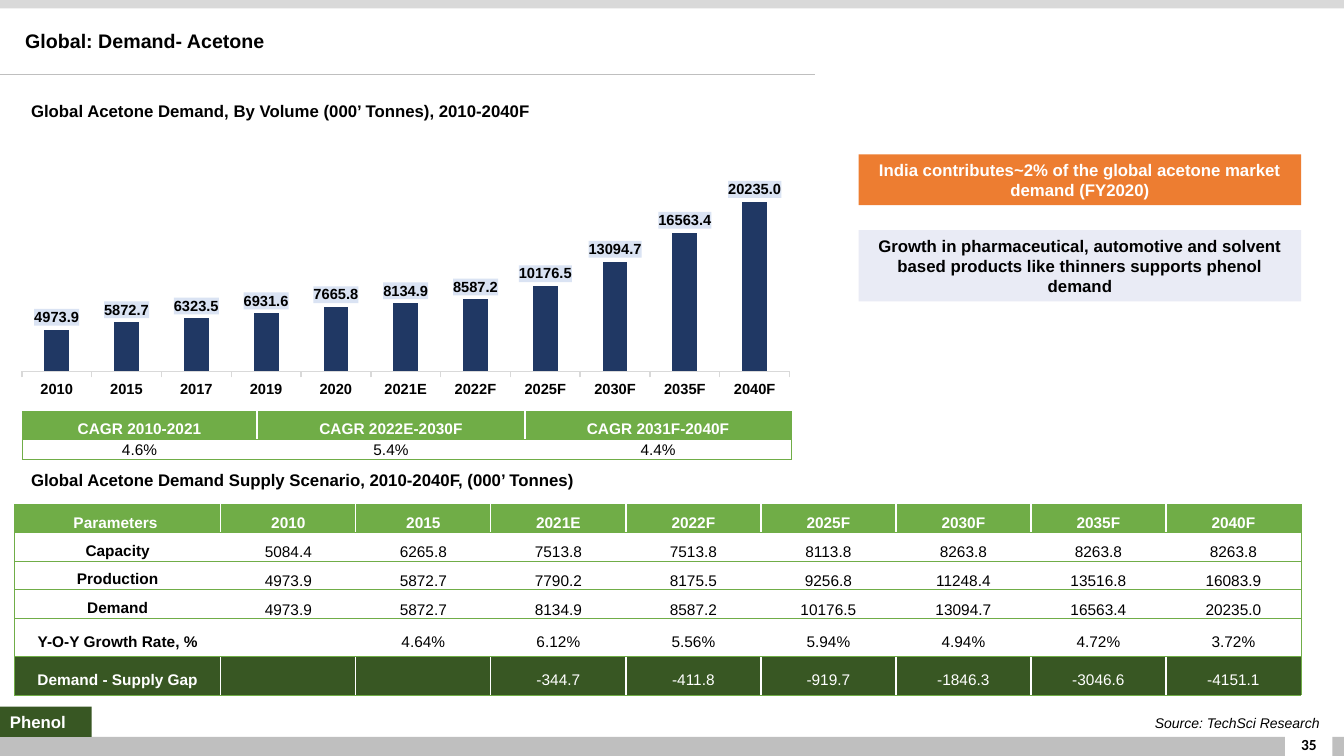
from lxml import etree
from pptx import Presentation
from pptx.chart.data import CategoryChartData
from pptx.dml.color import RGBColor
from pptx.enum.chart import XL_CHART_TYPE as ChartType, XL_LABEL_POSITION as LabelPosition
from pptx.enum.chart import XL_TICK_MARK as TickMark
from pptx.enum.shapes import MSO_CONNECTOR as Connector, MSO_SHAPE as Shape
from pptx.enum.text import MSO_ANCHOR as Anchor, MSO_AUTO_SIZE as AutoSize, PP_ALIGN as Align
from pptx.oxml import parse_xml
from pptx.oxml.ns import nsdecls, qn
from pptx.util import Pt

BLACK = RGBColor(0x00, 0x00, 0x00)
WHITE = RGBColor(0xFF, 0xFF, 0xFF)
SILVER = RGBColor(0xBF, 0xBF, 0xBF)
PALE_GREY = RGBColor(0xD9, 0xD9, 0xD9)
GREEN = RGBColor(0x70, 0xAD, 0x47)
DARK_GREEN = RGBColor(0x38, 0x57, 0x23)
NAVY = RGBColor(0x20, 0x38, 0x64)
ORANGE = RGBColor(0xED, 0x7D, 0x31)
ICE = RGBColor(0xE9, 0xEB, 0xF5)
LABEL_BLUE = RGBColor(0xDA, 0xE3, 0xF3)

DEMAND = {
    "2010": 4973.9, "2015": 5872.7, "2017": 6323.5, "2019": 6931.6,
    "2020": 7665.8, "2021E": 8134.9, "2022F": 8587.2, "2025F": 10176.5,
    "2030F": 13094.7, "2035F": 16563.4, "2040F": 20235.0,
}
CAGR = [
    ["CAGR 2010-2021", "CAGR 2022E-2030F", "CAGR 2031F-2040F"],
    ["4.6%", "5.4%", "4.4%"],
]
SUPPLY = [
    ["Parameters\u00a0", "2010", "2015", "2021E", "2022F", "2025F", "2030F", "2035F", "2040F"],
    ["Capacity", "5084.4", "6265.8", "7513.8", "7513.8", "8113.8", "8263.8", "8263.8", "8263.8"],
    ["Production", "4973.9", "5872.7", "7790.2", "8175.5", "9256.8", "11248.4", "13516.8", "16083.9"],
    ["Demand", "4973.9", "5872.7", "8134.9", "8587.2", "10176.5", "13094.7", "16563.4", "20235.0"],
    ["Y-O-Y Growth Rate, %", "", "4.64%", "6.12%", "5.56%", "5.94%", "4.94%", "4.72%", "3.72%"],
    ["Demand - Supply Gap", "", "", "-344.7", "-411.8", "-919.7", "-1846.3", "-3046.6", "-4151.1"],
]


def write(frame, text, size=12, color=BLACK, bold=False, italic=False, font="Arial",
          align=Align.LEFT, spacing=1.0, after=0):
    paragraph = frame.paragraphs[0]
    paragraph.alignment = align
    paragraph.line_spacing = spacing
    paragraph.space_before = Pt(0)
    paragraph.space_after = Pt(after)
    if text:
        run = paragraph.add_run()
        run.text = text
        run.font.name = font
        run.font.size = Pt(size)
        run.font.bold = bold
        run.font.italic = italic
        run.font.color.rgb = color


def add_label(slide, box, text, anchor=Anchor.TOP, **style):
    frame = slide.shapes.add_textbox(*map(Pt, box)).text_frame
    frame.word_wrap = True
    frame.vertical_anchor = anchor
    write(frame, text, **style)


def add_block(slide, box, fill, text="", **style):
    block = slide.shapes.add_shape(Shape.RECTANGLE, *map(Pt, box))
    block.shadow.inherit = False
    block.fill.solid()
    block.fill.fore_color.rgb = fill
    block.line.fill.background()
    if text:
        block.text_frame.word_wrap = True
        block.text_frame.vertical_anchor = Anchor.MIDDLE
        write(block.text_frame, text, bold=True, **style)


def add_border(cell, sides):
    properties = cell._tc.get_or_add_tcPr()
    for position, side in enumerate(s for s in "LRTB" if s in sides):
        border = parse_xml(
            f'<a:ln{side} {nsdecls("a")} w="{Pt(0.5)}"><a:solidFill>'
            f'<a:srgbClr val="{GREEN}"/></a:solidFill></a:ln{side}>')
        properties.insert(position, border)


def add_grid(slide, box, rows, widths, heights, format_cell):
    left, top, width, height = box
    table = slide.shapes.add_table(len(rows), len(widths), *map(Pt, box)).table
    table.first_row = table.horz_banding = False
    for column, column_width in zip(table.columns, widths):
        column.width = Pt(column_width)
    for row, row_height in zip(table.rows, heights):
        row.height = Pt(row_height)
    for r, values in enumerate(rows):
        for c, value in enumerate(values):
            cell = table.cell(r, c)
            fill, anchor, style = format_cell(r, c)
            cell.vertical_anchor = anchor
            side_margin = 0.7 if anchor == Anchor.BOTTOM else 5
            cell.margin_left = cell.margin_right = Pt(side_margin)
            cell.margin_top = cell.margin_bottom = Pt(0)
            write(cell.text_frame, value, size=11, align=Align.CENTER, after=8, **style)
            if fill is None:
                cell.fill.background()
            else:
                cell.fill.solid()
                cell.fill.fore_color.rgb = fill
            add_border(cell, "TB" + "L" * (c == 0) + "R" * (c == len(values) - 1))


def format_cagr(row, column):
    if row == 0:
        return GREEN, Anchor.MIDDLE, dict(color=WHITE, bold=True, spacing=1.5)
    return None, Anchor.MIDDLE, dict(spacing=1.07)


def format_supply(row, column):
    fill = {0: GREEN, 5: DARK_GREEN}.get(row)
    anchor = Anchor.BOTTOM if row in (1, 2, 3) and column else Anchor.MIDDLE
    style = dict(color=WHITE if fill else BLACK, bold=row == 0 or column == 0, spacing=1.5)
    return fill, anchor, style


def add_demand_chart(slide, box):
    data = CategoryChartData(number_format="0.0")
    data.categories = list(DEMAND)
    data.add_series("Series 1", list(DEMAND.values()))
    chart = slide.shapes.add_chart(ChartType.COLUMN_CLUSTERED, *map(Pt, box), data).chart
    chart.has_legend = chart.has_title = False
    chart.font.name, chart.font.size, chart.font.color.rgb = "Calibri", Pt(10), BLACK

    volume = chart.value_axis
    volume.minimum_scale, volume.maximum_scale = 0, 25000
    volume.has_major_gridlines = False
    volume.visible = False
    years = chart.category_axis
    years.major_tick_mark = TickMark.OUTSIDE
    years.format.line.color.rgb = PALE_GREY
    years.format.line.width = Pt(1)

    plot = chart.plots[0]
    plot.gap_width = 181
    plot.vary_by_categories = False
    columns = plot.series[0]
    columns.format.fill.solid()
    columns.format.fill.fore_color.rgb = NAVY
    labels = columns.data_labels
    labels.show_value = True
    labels.number_format, labels.number_format_is_linked = "0.0", False
    labels.position = LabelPosition.OUTSIDE_END
    for font in (years.tick_labels.font, labels.font):
        font.name, font.size, font.bold = "Arial", Pt(10.5), True
        font.color.rgb = BLACK
    labels._element.find(qn("c:txPr")).addprevious(parse_xml(
        f'<c:spPr {nsdecls("c", "a")}><a:solidFill>'
        f'<a:srgbClr val="{LABEL_BLUE}"/></a:solidFill></c:spPr>'))

    area = chart._chartSpace.chart.plotArea
    for old_layout in area.findall(qn("c:layout")):
        area.remove(old_layout)
    layout = etree.Element(qn("c:layout"))
    manual = etree.SubElement(layout, qn("c:manualLayout"))
    settings = dict(layoutTarget="inner", xMode="edge", yMode="edge", x=0, y=0.13, w=1, h=0.74)
    for tag, value in settings.items():
        etree.SubElement(manual, qn(f"c:{tag}")).set("val", str(value))
    area.insert(0, layout)


def add_frame(slide, box):
    left, top, width, height = box
    bottom = top + height
    add_block(slide, (left, bottom - 13.7, width, 13.7), SILVER)
    add_block(slide, (left, top, width, 6), PALE_GREY)
    add_block(slide, (left + 918, bottom - 26.7, 33.8, 26.7), WHITE)
    add_label(slide, (left + 911.5, bottom - 23, 46.8, 28.8), "35", anchor=Anchor.MIDDLE,
              size=11, font="Calibri", bold=True, align=Align.CENTER)
    rule = slide.shapes.add_connector(
        Connector.STRAIGHT, Pt(left), Pt(top + 53.3), Pt(left + 582.5), Pt(top + 53.3))
    rule.line.color.rgb = SILVER
    rule.line.width = Pt(0.5)
    etree.SubElement(rule._element.spPr, qn("a:effectLst"))
    add_block(slide, (left, bottom - 35.3, 65.5, 21.6), DARK_GREEN, "Phenol", color=WHITE)
    add_label(slide, (left + 779, bottom - 33.8, 170.6, 19.4), "Source: TechSci Research",
              size=10, italic=True, align=Align.RIGHT, spacing=1.07)


def add_title(slide, box):
    title = slide.shapes.title
    title.left, title.top, title.width, title.height = map(Pt, box)
    title.text_frame.word_wrap = True
    title.text_frame.auto_size = AutoSize.NONE
    title.text_frame.vertical_anchor = Anchor.MIDDLE
    write(title.text_frame, "Global: Demand- Acetone", size=14, bold=True, spacing=0.9)


def add_demand(slide, box):
    left, top, width, height = box
    add_label(slide, (left, top, 424.8, 22.3),
              "Global Acetone Demand, By Volume (000’ Tonnes), 2010-2040F",
              bold=True, align=Align.JUSTIFY, spacing=1.07)
    add_demand_chart(slide, (left, top + 21.6, width, 202.3))
    add_grid(slide, (left + 0.7, top + 226.1, width, 34.3), CAGR,
             (167.8, 191.5, 190.1), (19.9, 14.4), format_cagr)


def add_supply(slide, box):
    left, top, width, height = box
    add_label(slide, (left + 4.7, top, 482.4, 22.3),
              "Global Acetone Demand Supply Scenario, 2010-2040F, (000’ Tonnes)",
              bold=True, align=Align.JUSTIFY, spacing=1.07)
    parameter_width = 147.4
    year_width = (width - parameter_width) / 8
    add_grid(slide, (left, top + 29.2, width, height - 29.2), SUPPLY,
             [parameter_width] + [year_width] * 8,
             (19.9, 20.3, 20.5, 20.6, 27.4, 27.4), format_supply)


def add_insights(slide, box):
    left, top, width, height = box
    add_block(slide, (left, top, width, 36.3), ORANGE,
              "India contributes~2% of the global acetone market demand (FY2020)",
              color=WHITE, align=Align.CENTER)
    add_block(slide, (left, top + height - 50.9, width, 50.9), ICE,
              "Growth in pharmaceutical, automotive and solvent based products "
              "like thinners supports phenol demand", align=Align.CENTER)


def main():
    deck = Presentation()
    deck.slide_width, deck.slide_height = Pt(960), Pt(540)
    slide = deck.slides.add_slide(deck.slide_layouts[5])
    add_frame(slide, (0, 0, 960, 540))
    add_title(slide, (10.8, 12.2, 583.9, 36))
    add_supply(slide, (10.4, 331.2, 918.9, 165.3))
    add_demand(slide, (15.1, 67.7, 549.4, 260.4))
    add_insights(slide, (613.4, 110.2, 316, 105.1))
    deck.save("out.pptx")


if __name__ == "__main__":
    main()
